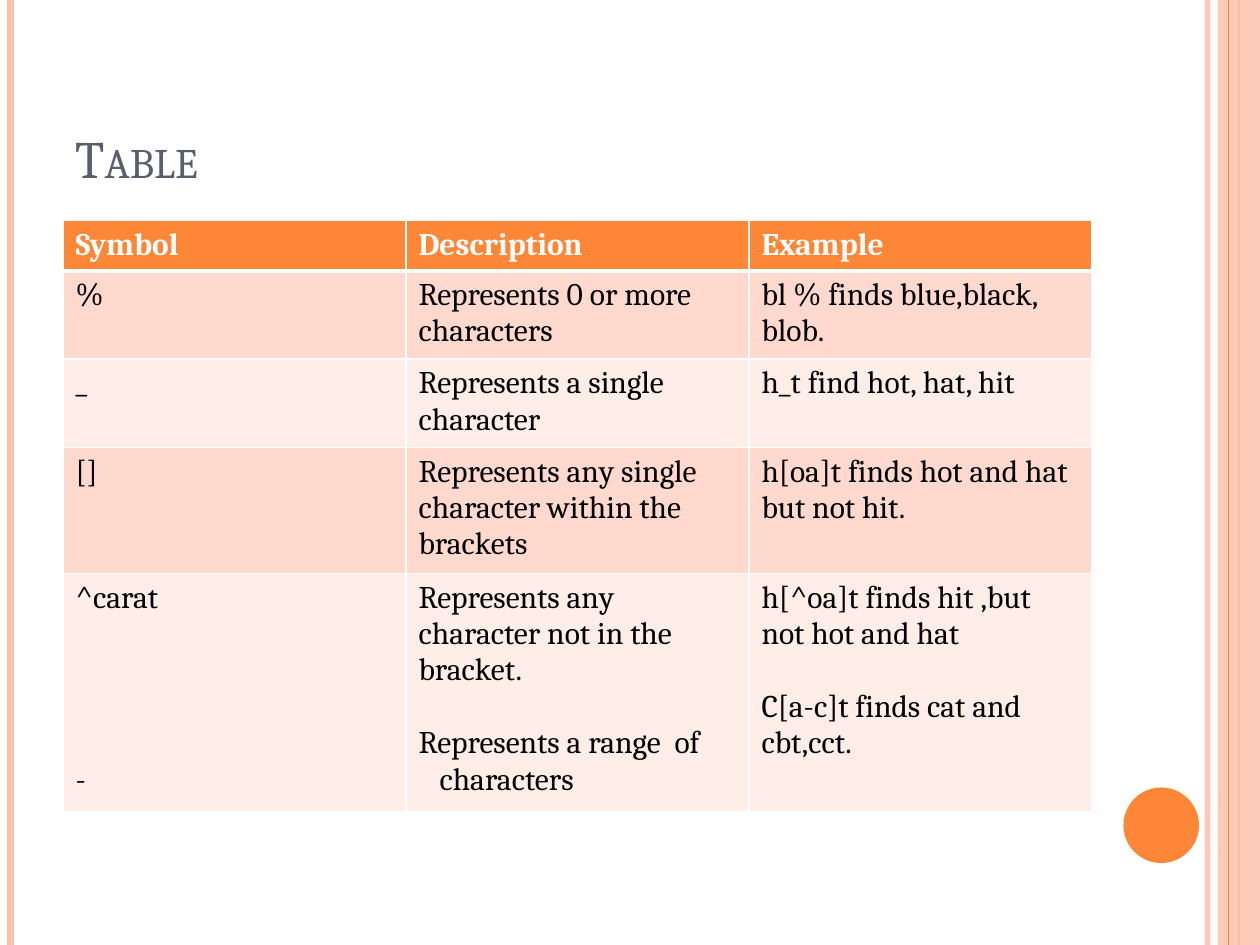
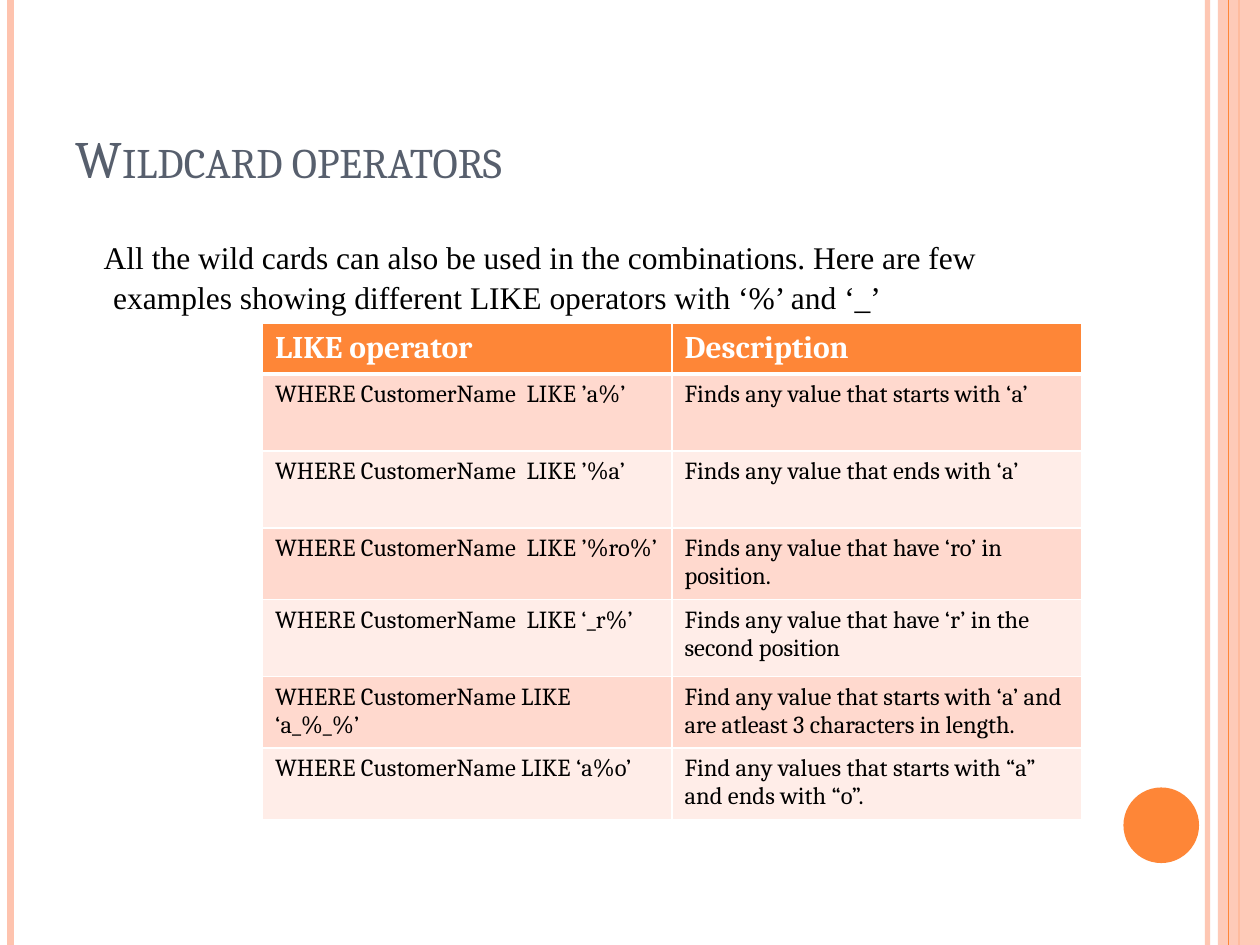
"""Builds two slides about wildcard operators, each with a table."""
import dataclasses

import lxml.etree
import pptx
import pptx.dml.color
import pptx.enum.shapes
import pptx.enum.text
import pptx.oxml.ns
import pptx.util

Pt = pptx.util.Pt
qn = pptx.oxml.ns.qn
rgb = pptx.dml.color.RGBColor.from_string


@dataclasses.dataclass(frozen=True)
class Theme:
    main: str = "FE8637"
    soft: str = "FEC3AE"
    slate: str = "575F6D"
    ink: str = "000000"
    white: str = "FFFFFF"
    bands: tuple = ("FFEDE8", "FFD9CE")
    serif: str = "Cambria"
    roman: str = "Times New Roman"
    title: int = 30
    text: int = 18
    small: int = 14


theme = Theme()


def write(para, text, size, color, font=theme.serif, bold=False):
    run = para.add_run()
    run.text = text
    run.font.size = Pt(size)
    run.font.name = font
    run.font.bold = bold
    run.font.color.rgb = rgb(color)
    return run


def fade(shape, share):
    color = next(shape.element.spPr.iter(qn("a:srgbClr")))
    lxml.etree.SubElement(color, qn("a:alpha"), val=str(share * 1000))


symbols = [
    ("Symbol", "Description", "Example"),
    ("%", "Represents 0 or more characters", "bl % finds blue,black, blob."),
    ("_", "Represents a single character", "h_t find hot, hat, hit"),
    ("[]", "Represents any single character within the brackets",
     "h[oa]t finds hot and hat but not hit."),
    ("^carat\n-",
     "Represents any character not in the bracket.\nRepresents a range  of characters",
     "h[^oa]t finds hit ,but not hot and hat\nC[a-c]t finds cat and cbt,cct."),
]
likes = [
    ("LIKE operator", "Description"),
    ("WHERE CustomerName  LIKE ’a%’", "Finds any value that starts with ‘a’"),
    ("WHERE CustomerName  LIKE ’%a’", "Finds any value that ends with ‘a’"),
    ("WHERE CustomerName  LIKE ’%ro%’", "Finds any value that have ‘ro’ in position."),
    ("WHERE CustomerName  LIKE ‘_r%’",
     "Finds any value that have ‘r’ in the second position"),
    ("WHERE CustomerName LIKE ‘a_%_%’",
     "Find any value that starts with ‘a’ and are atleast 3 characters in length."),
    ("WHERE CustomerName LIKE ‘a%o’",
     "Find any values that starts with “a” and ends with “o”."),
]
pages = [
    ("Table", symbols, theme.text, (36, 126, 588), (28.4, 49, 49, 69.2, 132)),
    ("Wildcard operators", likes, theme.small, (150, 185, 468),
     (28, 44, 44, 39.5, 44, 39.5, 39)),
]
rules = [
    (690, 3, theme.soft, 93),
    (6, 4.5, theme.soft, 100),
    (708, 1.5, theme.main, 100),
    (702, 0.75, theme.main, 100),
]

deck = pptx.Presentation()
deck.slide_width, deck.slide_height = Pt(720), Pt(540)
slides, tables = [], []

for title, rows, size, (left, top, width), heights in pages:
    slide = deck.slides.add_slide(deck.slide_layouts[6])
    slides.append(slide)

    for x, weight, color, share in rules:
        if x == 702:
            band = slide.shapes.add_shape(
                pptx.enum.shapes.MSO_SHAPE.RECTANGLE, Pt(696), 0, Pt(24), Pt(540))
            band.shadow.inherit = False
            band.fill.solid()
            band.fill.fore_color.rgb = rgb(theme.soft)
            band.line.fill.background()
            fade(band, 87)
        rule = slide.shapes.add_connector(
            pptx.enum.shapes.MSO_CONNECTOR.STRAIGHT, Pt(x), 0, Pt(x), Pt(540))
        rule.line.width = Pt(weight)
        rule.line.color.rgb = rgb(color)
        fade(rule, share)
        lxml.etree.SubElement(rule.element.spPr, qn("a:effectLst"))

    dot = slide.shapes.add_shape(
        pptx.enum.shapes.MSO_SHAPE.OVAL, Pt(642), Pt(450), Pt(43.2), Pt(43.2))
    dot.shadow.inherit = False
    dot.fill.solid()
    dot.fill.fore_color.rgb = rgb(theme.main)
    dot.line.fill.background()

    head = slide.shapes.add_textbox(Pt(36), Pt(21.6), Pt(588), Pt(90)).text_frame
    head.word_wrap = True
    head.vertical_anchor = pptx.enum.text.MSO_ANCHOR.BOTTOM
    run = write(head.paragraphs[0], title, theme.title, theme.slate)
    run.font._element.set("cap", "small")

    count = len(rows[0])
    table = slide.shapes.add_table(
        len(rows), count, Pt(left), Pt(top), Pt(width), Pt(sum(heights))).table
    table.horz_banding = False
    tables.append(table)
    for column in table.columns:
        column.width = Pt(width / count)
    for r, row in enumerate(rows):
        table.rows[r].height = Pt(heights[r])
        for c, text in enumerate(row):
            cell = table.cell(r, c)
            props = cell._tc.get_or_add_tcPr()
            for side in "LRTB":
                thick = (r, side) in ((0, "B"), (1, "T"))
                edge = lxml.etree.SubElement(
                    props, qn("a:ln" + side), w=str(Pt(3 if thick else 1)))
                fill = lxml.etree.SubElement(edge, qn("a:solidFill"))
                lxml.etree.SubElement(fill, qn("a:srgbClr"), val=theme.white)
            cell.fill.solid()
            cell.fill.fore_color.rgb = rgb(theme.bands[r % 2] if r else theme.main)
            frame = cell.text_frame
            for p, line in enumerate(text.split("\n")):
                para = frame.add_paragraph() if p else frame.paragraphs[0]
                if r:
                    write(para, line, size, theme.ink)
                else:
                    write(para, line, theme.text, theme.white, bold=True)

for c, lines in enumerate((4, 1, 1)):
    para = tables[0].cell(4, c).text_frame.paragraphs[1]
    para.space_before = Pt(20.8 * lines)
hang = tables[0].cell(4, 1).text_frame.paragraphs[1]._p.get_or_add_pPr()
hang.set("marL", str(Pt(12)))
hang.set("indent", str(Pt(-12)))

body = slides[1].shapes.add_textbox(Pt(36), Pt(126), Pt(588), Pt(384)).text_frame
body.word_wrap = True
body.margin_top = Pt(8.6)
intro = body.paragraphs[0]
intro.line_spacing = Pt(22.9)
inset = intro._p.get_or_add_pPr()
inset.set("marL", str(Pt(21.6)))
inset.set("indent", str(Pt(-5.4)))
write(intro, "All the wild cards can also be used in the combinations. Here are few "
      "examples showing different LIKE operators with ‘%’ and ‘_’",
      theme.text, theme.ink, theme.roman)

deck.save("out.pptx")
